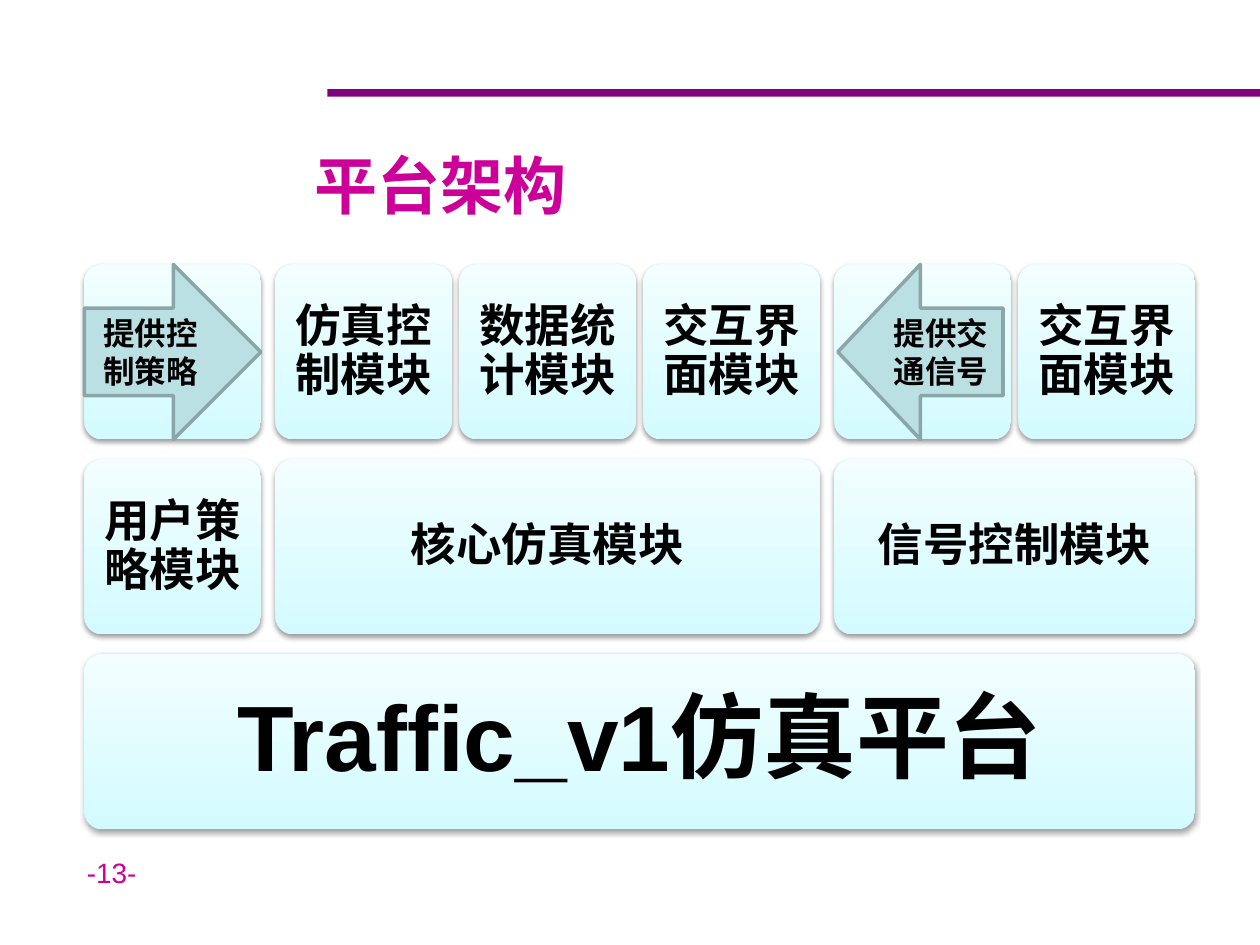
from dataclasses import dataclass

from lxml import etree
from pptx import Presentation
from pptx import util as u
from pptx.dml.color import RGBColor
from pptx.enum import shapes, text
from pptx.oxml import ns


@dataclass(frozen=True)
class Theme:
    """Colours and type sizes of the slide."""
    font: str = "Arial"
    accent: str = "CC0099"
    rule: str = "800080"
    ink: str = "000000"
    box_bottom: str = "D3FBFF"
    box_top: str = "F2FEFF"
    arrow: str = "BBE0E3"
    arrow_line: str = "8AA6A8"
    title: int = 36
    platform: int = 53
    module: int = 26
    arrow_text: int = 18
    page: int = 16


THEME = Theme()
TITLE = "平台架构"
PAGE = "-13-"
PLATFORM = "Traffic_v1仿真平台"
GROUPS = [
    ("用户策略模块", [None]),
    ("核心仿真模块", ["仿真控制模块", "数据统计模块", "交互界面模块"]),
    ("信号控制模块", [None, "交互界面模块"]),
]
ARROWS = [
    (shapes.MSO_SHAPE.RIGHT_ARROW, "提供控制策略", 1.7, 3.56),
    (shapes.MSO_SHAPE.LEFT_ARROW, "提供交通信号", 16.89, 3.33),
]

LEFT, TOP = 1.7, 5.33
CELL_WIDTH, CELL_HEIGHT = 3.56, 3.53
CELL_GAP, GROUP_GAP, ROW_STEP = 0.15, 0.29, 3.93


def write(shape, content, size, color, bold=True, align=text.PP_ALIGN.CENTER,
          anchor=text.MSO_ANCHOR.MIDDLE):
    frame = shape.text_frame
    frame.text = content
    frame.word_wrap = True
    frame.vertical_anchor = anchor
    paragraph = frame.paragraphs[0]
    paragraph.alignment = align
    for run in paragraph.runs:
        run.font.name = THEME.font
        run.font.size = u.Pt(size)
        run.font.bold = bold
        run.font.color.rgb = RGBColor.from_string(color)
    return paragraph


def add_label(slide, content, box, size, bold, anchor):
    label = slide.shapes.add_textbox(*map(u.Cm, box))
    write(label, content, size, THEME.accent, bold, text.PP_ALIGN.LEFT, anchor)


def add_solid(slide, kind, box, color):
    shape = slide.shapes.add_shape(kind, *map(u.Cm, box))
    shape.shadow.inherit = False
    shape.fill.solid()
    shape.fill.fore_color.rgb = RGBColor.from_string(color)
    shape.line.fill.background()
    return shape


def add_soft_shadow(shape):
    shape.shadow.inherit = False
    effects = shape.element.spPr.find(ns.qn("a:effectLst"))
    shadow = etree.SubElement(effects, ns.qn("a:outerShdw"), blurRad="40000",
                              dist="20000", dir="5400000", rotWithShape="0")
    color = etree.SubElement(shadow, ns.qn("a:srgbClr"), val="000000")
    etree.SubElement(color, ns.qn("a:alpha"), val="38000")


def add_box(slide, left, row, width, content, size=THEME.module, inset=0.28):
    box = (left, TOP + row * ROW_STEP, width, CELL_HEIGHT)
    shape = slide.shapes.add_shape(shapes.MSO_SHAPE.ROUNDED_RECTANGLE,
                                   *map(u.Cm, box))
    shape.adjustments[0] = 0.1
    shape.line.fill.background()
    shape.fill.gradient()
    shape.fill.gradient_angle = 90
    colors = (THEME.box_bottom, THEME.box_top)
    for position, (stop, color) in enumerate(zip(shape.fill.gradient_stops, colors)):
        stop.position = position
        stop.color.rgb = RGBColor.from_string(color)
    add_soft_shadow(shape)
    if content:
        frame = shape.text_frame
        frame.margin_left = frame.margin_right = u.Cm(inset)
        frame.margin_top = frame.margin_bottom = u.Cm(inset)
        write(shape, content, size, THEME.ink).line_spacing = 0.9


def add_modules(slide):
    left = LEFT
    for name, children in GROUPS:
        width = len(children) * (CELL_WIDTH + CELL_GAP) - CELL_GAP
        add_box(slide, left, 1, width, name)
        for index, child in enumerate(children):
            add_box(slide, left + index * (CELL_WIDTH + CELL_GAP), 0, CELL_WIDTH, child)
        left += width + GROUP_GAP
    add_box(slide, LEFT, 2, left - GROUP_GAP - LEFT, PLATFORM, THEME.platform, 0.56)


def add_arrows(slide):
    for kind, content, left, width in ARROWS:
        arrow = add_solid(slide, kind, (left, TOP, width, CELL_HEIGHT), THEME.arrow)
        arrow.line.color.rgb = RGBColor.from_string(THEME.arrow_line)
        arrow.line.width = u.Pt(2)
        write(arrow, content, THEME.arrow_text, THEME.ink)


def main():
    presentation = Presentation()
    presentation.slide_width, presentation.slide_height = u.Cm(25.4), u.Cm(19.05)
    slide = presentation.slides.add_slide(presentation.slide_layouts[6])
    add_solid(slide, shapes.MSO_SHAPE.RECTANGLE, (6.6, 1.8, 18.8, 0.15), THEME.rule)
    add_label(slide, PAGE, (1.5, 17.12, 5.92, 1.32), THEME.page, False,
              text.MSO_ANCHOR.TOP)
    add_label(slide, TITLE, (6.1, 2.72, 18.01, 2.01), THEME.title, True,
              text.MSO_ANCHOR.MIDDLE)
    add_modules(slide)
    add_arrows(slide)
    presentation.save("out.pptx")


if __name__ == "__main__":
    main()
